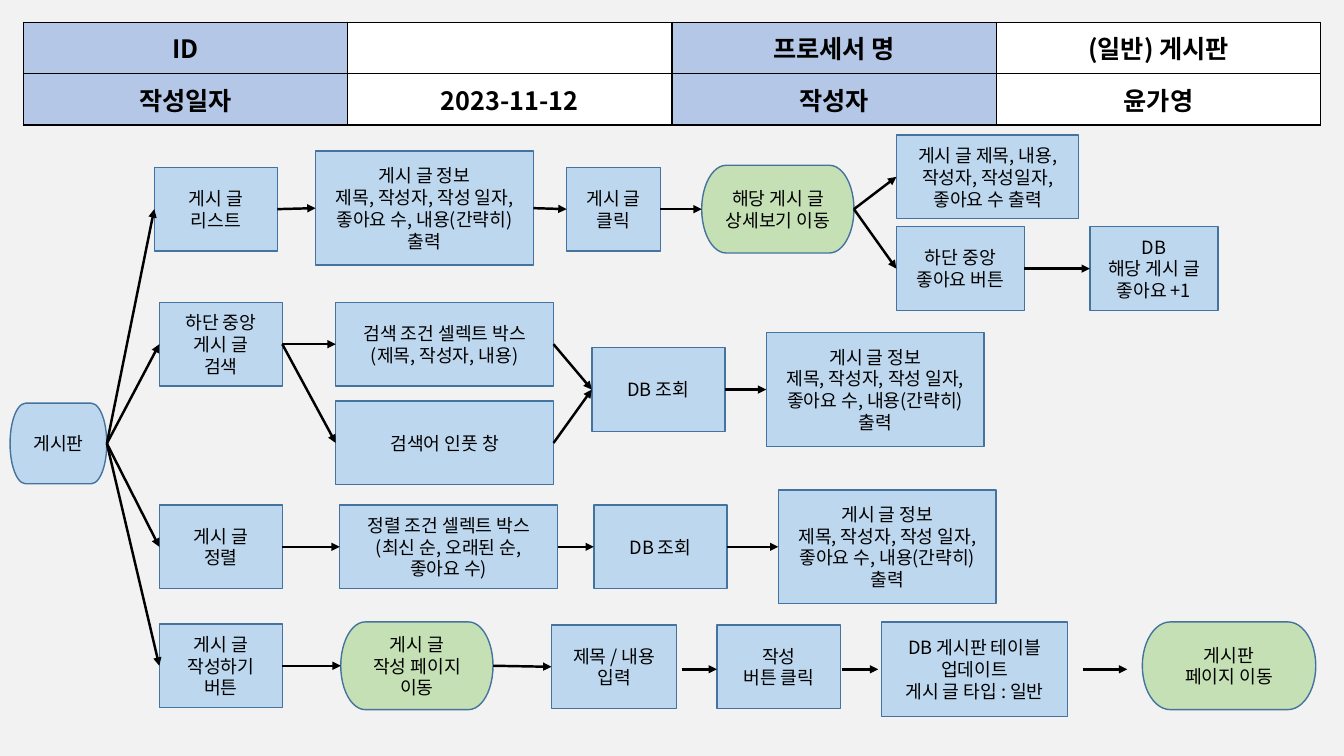
from lxml import etree
from pptx import Presentation
from pptx.dml.color import RGBColor
from pptx.enum.shapes import MSO_CONNECTOR, MSO_SHAPE
from pptx.enum.text import MSO_ANCHOR, PP_ALIGN
from pptx.oxml.ns import qn
from pptx.util import Inches, Pt

FONT = "Noto Sans CJK KR"
COLORS = {
    "background": "F2F2F2",
    "header": "B4C7E7",
    "white": "FFFFFF",
    "black": "000000",
    "step": "BDD7EE",
    "page": "C5E0B4",
    "outline": "43739E",
}
RIGHT, LEFT = 3, 1

HEADER_ROWS = [
    ["ID", "", "프로세서 명", "(일반) 게시판"],
    ["작성일자", "2023-11-12", "작성자", "윤가영"],
]

POST_INFO = ["게시 글 정보", "제목, 작성자, 작성 일자, 좋아요 수, 내용(간략히) 출력"]

# name: (left, top, width, height, paragraphs)
STEPS = {
    # Post list
    "list": (1.53, 1.66, 1.22, 0.83, ["게시 글", "리스트"]),
    "list info": (3.13, 1.5, 2.16, 1.13, POST_INFO),
    "post click": (5.62, 1.66, 0.93, 0.83, ["게시 글", "클릭"]),
    "post output": (8.89, 1.34, 1.81, 0.83, ["게시 글 제목, 내용, 작성자, 작성일자, 좋아요 수 출력"]),
    "like button": (8.89, 2.25, 1.27, 0.83, ["하단 중앙", "좋아요 버튼"]),
    "like update": (10.81, 2.25, 1.27, 0.83, ["DB", "해당 게시 글", "좋아요 +1"]),
    # Search
    "search": (1.58, 3, 1.22, 0.83, ["하단 중앙", "게시 글", "검색"]),
    "search filter": (3.33, 3, 2.16, 0.83, ["검색 조건 셀렉트 박스", "(제목, 작성자, 내용)"]),
    "search input": (3.33, 3.98, 2.16, 0.83, ["검색어 인풋 창"]),
    "search query": (5.87, 3.45, 1.32, 0.83, ["DB 조회"]),
    "search info": (7.6, 3.3, 2.16, 1.13, POST_INFO),
    # Sort
    "sort": (1.58, 5.01, 1.22, 0.83, ["게시 글", "정렬"]),
    "sort filter": (3.37, 5.01, 2.16, 0.83, ["정렬 조건 셀렉트 박스", "(최신 순, 오래된 순,", "좋아요 수)"]),
    "sort query": (5.89, 5.01, 1.32, 0.83, ["DB 조회"]),
    "sort info": (7.72, 4.86, 2.16, 1.13, POST_INFO),
    # Write
    "write": (1.58, 6.19, 1.22, 0.83, ["게시 글", "작성하기", "버튼"]),
    "write input": (5.47, 6.2, 1.24, 0.83, ["제목 / 내용", "입력"]),
    "write click": (7.11, 6.2, 1.23, 0.83, ["작성", "버튼 클릭"]),
    "write update": (8.74, 6.17, 1.85, 0.94, ["DB 게시판 테이블 업데이트", "게시 글 타입 : 일반"]),
}

START = (0.1, 4, 0.96, 0.8, ["게시판"])

PAGES = {
    "detail page": (6.96, 1.64, 1.51, 0.87, ["해당 게시 글 상세보기 이동"]),
    "write page": (3.38, 6.17, 1.51, 0.87, ["게시 글", "작성 페이지 이동"]),
    "board page": (11.33, 6.17, 1.72, 0.87, ["게시판", "페이지 이동"]),
}

FLOWS = [
    ("start", ["list", "search", "sort", "write"]),
    ("list", ["list info"]),
    ("list info", ["post click"]),
    ("post click", ["detail page"]),
    ("detail page", ["post output", "like button"]),
    ("like button", ["like update"]),
    ("search", ["search filter", "search input"]),
    ("search filter", ["search query"]),
    ("search input", ["search query"]),
    ("search query", ["search info"]),
    ("sort", ["sort filter"]),
    ("sort filter", ["sort query"]),
    ("sort query", ["sort info"]),
    ("write", ["write page"]),
    ("write page", ["write input"]),
]

# Free arrows in the bottom row: (start x, end x)
FREE_ARROWS = [(6.76, 7.11), (8.35, 8.71), (10.74, 11.18)]
FREE_ARROW_Y = 6.64


def rgb(name):
    return RGBColor.from_string(COLORS[name])


def write_text(text_frame, lines, size, bold=False):
    for index, line in enumerate(lines):
        paragraph = text_frame.paragraphs[0] if index == 0 else text_frame.add_paragraph()
        paragraph.alignment = PP_ALIGN.CENTER
        run = paragraph.add_run()
        run.text = line
        font = run.font
        font.name, font.size, font.bold = FONT, Pt(size), bold
        font.color.rgb = rgb("black")
        east_asian = etree.SubElement(run._r.get_or_add_rPr(), qn("a:ea"))
        east_asian.set("typeface", FONT)


def add_cell_borders(cell):
    properties = cell._tc.get_or_add_tcPr()
    for side in ("a:lnL", "a:lnR", "a:lnT", "a:lnB"):
        border = etree.SubElement(properties, qn(side), w=str(Pt(1)))
        fill = etree.SubElement(border, qn("a:solidFill"))
        etree.SubElement(fill, qn("a:srgbClr"), val=COLORS["black"])


def add_header_table(slide):
    frame = slide.shapes.add_table(
        2, 4, Inches(0.23), Inches(0.22), Inches(12.87), Inches(1.02))
    for row, texts in zip(frame.table.rows, HEADER_ROWS):
        for column, (cell, text) in enumerate(zip(row.cells, texts)):
            add_cell_borders(cell)
            cell.fill.solid()
            cell.fill.fore_color.rgb = rgb("white" if column % 2 else "header")
            cell.vertical_anchor = MSO_ANCHOR.MIDDLE
            if text:
                write_text(cell.text_frame, [text], 18, bold=True)


def add_node(slide, preset, color, node):
    *box, lines = node
    shape = slide.shapes.add_shape(preset, *map(Inches, box))
    shape.shadow.inherit = False
    shape.fill.solid()
    shape.fill.fore_color.rgb = rgb(color)
    shape.line.color.rgb = rgb("outline")
    shape.line.width = Pt(1)
    shape.text_frame.word_wrap = True
    shape.text_frame.vertical_anchor = MSO_ANCHOR.MIDDLE
    write_text(shape.text_frame, lines, 13)
    return shape


def add_arrow(slide, start_x=0, end_x=0, y=0):
    arrow = slide.shapes.add_connector(
        MSO_CONNECTOR.STRAIGHT, Inches(start_x), Inches(y), Inches(end_x), Inches(y))
    arrow.line.color.rgb = rgb("black")
    arrow.line.width = Pt(1.75)
    etree.SubElement(arrow.line._get_or_add_ln(), qn("a:tailEnd"), type="triangle")
    etree.SubElement(arrow._element.spPr, qn("a:effectLst"))
    return arrow


def main():
    presentation = Presentation()
    presentation.slide_width = Inches(13.33)
    presentation.slide_height = Inches(7.5)
    slide = presentation.slides.add_slide(presentation.slide_layouts[6])
    slide.background.fill.solid()
    slide.background.fill.fore_color.rgb = rgb("background")

    add_header_table(slide)

    # Flow nodes
    terminator = MSO_SHAPE.FLOWCHART_TERMINATOR
    nodes = {"start": add_node(slide, terminator, "step", START)}
    for name, step in STEPS.items():
        nodes[name] = add_node(slide, MSO_SHAPE.RECTANGLE, "step", step)
    for name, page in PAGES.items():
        nodes[name] = add_node(slide, terminator, "page", page)

    # Arrows between nodes
    for source, targets in FLOWS:
        for target in targets:
            arrow = add_arrow(slide)
            arrow.begin_connect(nodes[source], RIGHT)
            arrow.end_connect(nodes[target], LEFT)
    for start_x, end_x in FREE_ARROWS:
        add_arrow(slide, start_x, end_x, FREE_ARROW_Y)

    presentation.save("out.pptx")


if __name__ == "__main__":
    main()
